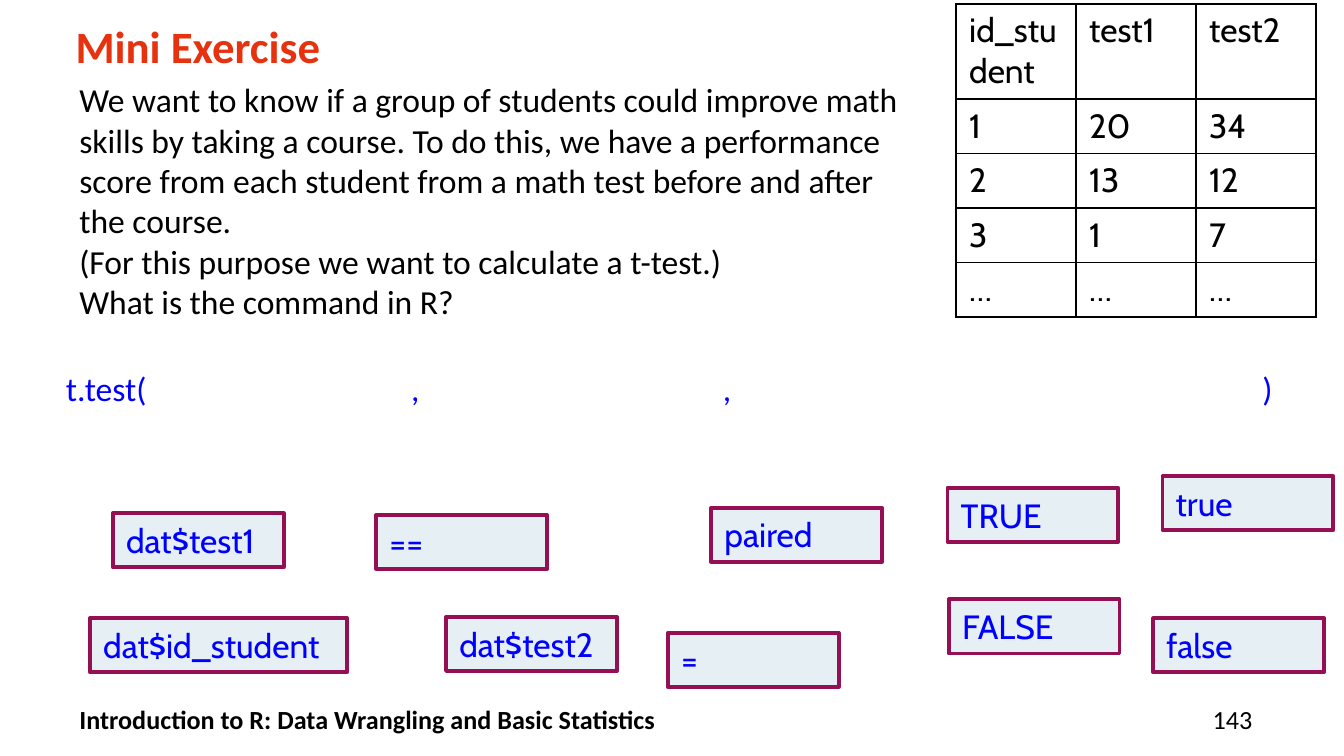
import pptx
import pptx.dml.color
import pptx.enum.shapes
import pptx.enum.text
import pptx.oxml
import pptx.oxml.ns
import pptx.util

Pt = pptx.util.Pt
RGBColor = pptx.dml.color.RGBColor
ALIGN = pptx.enum.text.PP_ALIGN
ANCHOR = pptx.enum.text.MSO_ANCHOR

BLACK = RGBColor(0x00, 0x00, 0x00)
BLUE = RGBColor(0x00, 0x00, 0xFF)
RED = RGBColor(0xE6, 0x32, 0x0F)
PALE_BLUE = RGBColor(0xE6, 0xEF, 0xF3)
PURPLE = RGBColor(0x95, 0x0F, 0x53)


def format_text(text_frame, size, font_name, color, bold=False):
    for paragraph in text_frame.paragraphs:
        for run in paragraph.runs:
            run.font.size = Pt(size)
            run.font.name = font_name
            run.font.color.rgb = color
            run.font.bold = bold


def add_text(left, top, width, height, text, size, color, bold=False):
    """Add a Calibri text box without margins and return its text frame."""
    text_frame = slide.shapes.add_textbox(Pt(left), Pt(top), Pt(width), Pt(height)).text_frame
    text_frame.word_wrap = True
    text_frame.margin_left = text_frame.margin_right = 0
    text_frame.margin_top = text_frame.margin_bottom = 0
    text_frame.text = text
    format_text(text_frame, size, "Calibri", color, bold)
    return text_frame


presentation = pptx.Presentation()
presentation.slide_width = Pt(720)
presentation.slide_height = Pt(405)
slide = presentation.slides.add_slide(presentation.slide_layouts[6])

# Title and question
title = add_text(40.5, 8.6, 440, 33, "Mini Exercise", 24, RED, bold=True)
title.paragraphs[0].line_spacing = Pt(30)

question = (
    "We want to know if a group of students could improve math skills by taking a course. "
    "To do this, we have a performance score from each student from a math test "
    "before and after the course.\n"
    "(For this purpose we want to calculate a t-test.)\n"
    "What is the command in R?"
)
add_text(42.5, 42.5, 449.5, 138, question, 18, BLACK)

# Table of test scores
scores = [
    ("id_student", "test1", "test2"),
    ("1", "20", "34"),
    ("2", "13", "12"),
    ("3", "1", "7"),
    ("…", "…", "…"),
]
table = slide.shapes.add_table(5, 3, Pt(512), Pt(2), Pt(193), Pt(168)).table
table.first_row = False
table.horz_banding = False
for column in table.columns:
    column.width = Pt(64.3)
for row_number, row in enumerate(table.rows):
    row.height = Pt(51 if row_number == 0 else 29.2)
    for cell, value in zip(row.cells, scores[row_number]):
        cell.text = value
        format_text(cell.text_frame, 18, "Cabin", BLACK)
        properties = cell._tc.get_or_add_tcPr()
        for side in ("lnL", "lnR", "lnT", "lnB"):
            properties.append(pptx.oxml.parse_xml(
                f'<a:{side} {pptx.oxml.ns.nsdecls("a")} w="12700"><a:solidFill>'
                f'<a:srgbClr val="{BLACK}"/></a:solidFill></a:{side}>'
            ))
        cell.fill.background()

# Command with gaps to fill in
command = add_text(35.3, 197.3, 669.6, 32.4, "t.test(\t,\t,\t)", 18, BLUE)
paragraph_properties = command.paragraphs[0]._p.get_or_add_pPr()
tab_stops = pptx.oxml.parse_xml(f'<a:tabLst {pptx.oxml.ns.nsdecls("a")}/>')
for position in (185, 352, 641):
    tab_stops.append(pptx.oxml.parse_xml(
        f'<a:tab {pptx.oxml.ns.nsdecls("a")} pos="{Pt(position)}" algn="l"/>'
    ))
paragraph_properties.append(tab_stops)

# Answer pieces: text, left, top, width
pieces = [
    ("dat$test1", 60.5, 275, 91.5),
    ("dat$test2", 239, 330.5, 91.5),
    ("paired", 381, 272, 91.5),
    ("=", 357.8, 339, 91.5),
    ("==", 201.6, 275.8, 91.5),
    ("TRUE", 507.6, 261.4, 91.5),
    ("FALSE", 508.3, 321.1, 91.5),
    ("true", 622.8, 255, 91.5),
    ("false", 617.8, 331.2, 91.5),
    ("dat$id_student", 48.2, 331.2, 137.8),
]
for text, left, top, width in pieces:
    shape = slide.shapes.add_shape(
        pptx.enum.shapes.MSO_SHAPE.RECTANGLE, Pt(left), Pt(top), Pt(width), Pt(29)
    )
    shape.shadow.inherit = False
    shape.fill.solid()
    shape.fill.fore_color.rgb = PALE_BLUE
    shape.line.color.rgb = PURPLE
    shape.line.width = Pt(2.08)
    text_frame = shape.text_frame
    text_frame.word_wrap = True
    text_frame.vertical_anchor = ANCHOR.TOP
    text_frame.text = text
    text_frame.paragraphs[0].alignment = ALIGN.LEFT
    format_text(text_frame, 18, "Cabin", BLUE)

# Footer
footer = add_text(42.5, 377.3, 541.4, 15.8,
                  "Introduction to R: Data Wrangling and Basic Statistics", 14, BLACK, bold=True)
page_number = add_text(607, 377.3, 64, 15.8, "143", 14, BLACK)
page_number.paragraphs[0].alignment = ALIGN.RIGHT
for text_frame in (footer, page_number):
    text_frame.vertical_anchor = ANCHOR.MIDDLE

presentation.save("out.pptx")
